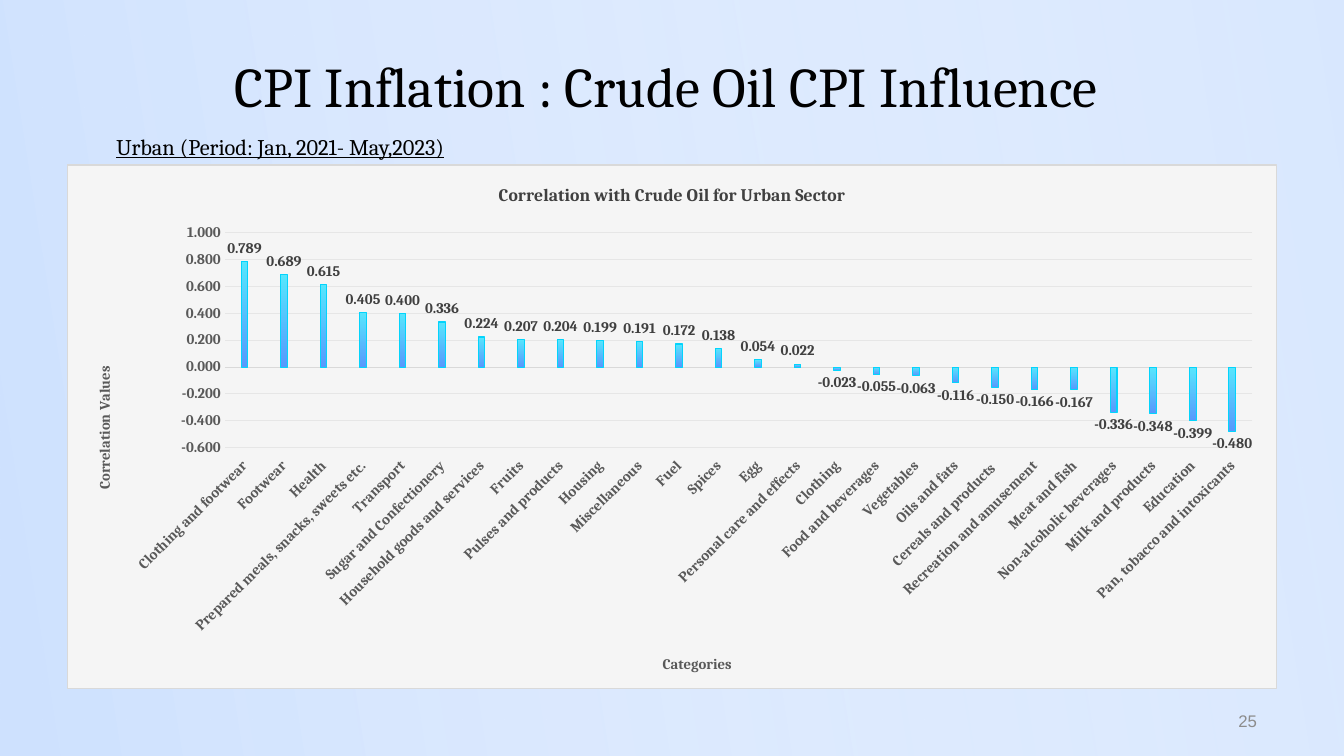
from lxml import etree
from pptx import Presentation
from pptx.chart.data import CategoryChartData
from pptx.dml.color import RGBColor
from pptx.enum.chart import XL_CHART_TYPE, XL_LABEL_POSITION, XL_TICK_LABEL_POSITION, XL_TICK_MARK
from pptx.enum.shapes import MSO_SHAPE
from pptx.enum.text import MSO_ANCHOR, PP_ALIGN
from pptx.oxml import parse_xml
from pptx.oxml.ns import qn
from pptx.util import Pt

COLUMNS = XL_CHART_TYPE.COLUMN_CLUSTERED
OUTSIDE_END = XL_LABEL_POSITION.OUTSIDE_END
LOW = XL_TICK_LABEL_POSITION.LOW
NO_TICK = XL_TICK_MARK.NONE
RECTANGLE = MSO_SHAPE.RECTANGLE
BOTTOM, MIDDLE = MSO_ANCHOR.BOTTOM, MSO_ANCHOR.MIDDLE
LEFT, CENTER, RIGHT = PP_ALIGN.LEFT, PP_ALIGN.CENTER, PP_ALIGN.RIGHT

WIDTH, HEIGHT = 960, 540
SERIF = "Cambria"
VALUE_FORMAT = "0.000"

CORRELATIONS = [
    ("Clothing and footwear", 0.789),
    ("Footwear", 0.689),
    ("Health", 0.615),
    ("Prepared meals, snacks, sweets etc.", 0.405),
    (" Transport", 0.4),
    ("Sugar and Confectionery", 0.336),
    ("Household goods and services", 0.224),
    ("Fruits", 0.207),
    ("Pulses and products", 0.204),
    ("Housing", 0.199),
    ("Miscellaneous", 0.191),
    ("Fuel", 0.172),
    ("Spices", 0.138),
    ("Egg", 0.054),
    ("Personal care and effects", 0.022),
    ("Clothing", -0.023),
    ("Food and beverages", -0.055),
    ("Vegetables", -0.063),
    ("Oils and fats", -0.116),
    (" Cereals and products ", -0.15),
    ("Recreation and amusement", -0.166),
    ("Meat and fish", -0.167),
    ("Non-alcoholic beverages", -0.336),
    ("Milk and products", -0.348),
    ("Education", -0.399),
    ("Pan, tobacco and intoxicants", -0.48),
]


def color(code):
    return RGBColor.from_string(code)


def set_font(font, size, code, name=SERIF, bold=False):
    font.size, font.name, font.bold = Pt(size), name, bold
    font.color.rgb = color(code)


def set_line(line, code):
    line.color.rgb = color(code)
    line.width = Pt(0.75)


def set_gradient(fill, start, end, angle):
    """Fill with two colours; the angle runs counter-clockwise."""
    fill.gradient()
    fill.gradient_angle = angle
    for stop, code in zip(fill.gradient_stops, (start, end)):
        stop.color.rgb = color(code)


def add_backdrop(page):
    page.background.fill.solid()
    page.background.fill.fore_color.rgb = color("CFE2FF")
    sheet = page.shapes.add_shape(RECTANGLE, 0, 0, Pt(WIDTH), Pt(HEIGHT))
    sheet.shadow.inherit = False
    sheet.line.fill.background()
    set_gradient(sheet.fill, "CFE2FF", "FFFFFF", 9)
    end_color = list(sheet._element.spPr.iter(qn("a:srgbClr")))[-1]
    etree.SubElement(end_color, qn("a:alpha"), val="20000")


def add_title(page, box, text):
    title = page.shapes.title
    title.left, title.top, title.width, title.height = map(Pt, box)
    frame = title.text_frame
    frame.margin_left = frame.margin_right = frame.margin_top = frame.margin_bottom = 0
    frame.vertical_anchor = BOTTOM
    para = frame.paragraphs[0]
    para.text, para.alignment = text, CENTER
    set_font(para.font, 40, "000000")


def add_label(page, box, text, size, code, name=SERIF, align=LEFT):
    frame = page.shapes.add_textbox(*map(Pt, box)).text_frame
    frame.word_wrap = True
    frame.vertical_anchor = MIDDLE
    para = frame.paragraphs[0]
    para.text, para.alignment = text, align
    set_font(para.font, size, code, name)
    return para


def set_layout(parent, **fractions):
    """Place a chart part by fractions of the chart's size."""
    layout = parent.find(qn("c:layout"))
    if layout is None:
        layout = etree.Element(qn("c:layout"))
        parent.insert(0, layout)
    manual = etree.SubElement(layout, qn("c:manualLayout"))
    if "w" in fractions:
        etree.SubElement(manual, qn("c:layoutTarget"), val="inner")
    for side in ("x", "y"):
        etree.SubElement(manual, qn(f"c:{side}Mode"), val="edge")
    for side, share in fractions.items():
        etree.SubElement(manual, qn(f"c:{side}"), val=str(share))


def set_chart_title(owner, text, size, code):
    """Title a chart or an axis and return the title."""
    title = owner.chart_title if hasattr(owner, "chart_title") else owner.axis_title
    para = title.text_frame.paragraphs[0]
    para.text = text
    set_font(para.font, size, code, bold=True)
    return title


def style_axis(axis, title_text, x, y):
    axis.major_tick_mark = axis.minor_tick_mark = NO_TICK
    set_font(axis.tick_labels.font, 10.5, "595959", bold=True)
    title = set_chart_title(axis, title_text, 10.5, "595959")
    set_layout(title._element, x=x, y=y)
    return title


def style_axes(chart):
    categories, values = chart.category_axis, chart.value_axis
    style_axis(categories, "Categories", 0.49, 0.93)
    categories.tick_label_position = LOW
    categories.has_major_gridlines = False
    set_line(categories.format.line, "D9D9D9")
    categories._element.find(qn("c:txPr")).find(qn("a:bodyPr")).set("rot", "-2700000")

    title = style_axis(values, "Correlation Values", 0.02, 0.38)
    body = title.text_frame._txBody.find(qn("a:bodyPr"))
    body.set("rot", "-5400000")
    body.set("vert", "horz")
    values.minimum_scale, values.maximum_scale, values.major_unit = -0.6, 1, 0.2
    values.tick_labels.number_format = VALUE_FORMAT
    values.tick_labels.number_format_is_linked = False
    values.format.line.fill.background()
    set_line(values.major_gridlines.format.line, "E6E6E6")


def style_columns(plot):
    plot.gap_width, plot.overlap = 500, -50
    plot.vary_by_categories = False
    series = plot.series[0]
    series.invert_if_negative = False
    set_gradient(series.format.fill, "57E6FD", "5799FD", 270)
    set_line(series.format.line, "03D4FC")
    labels = series.data_labels
    labels.show_value = True
    labels.position = OUTSIDE_END
    labels.number_format, labels.number_format_is_linked = VALUE_FORMAT, False
    set_font(labels.font, 10.5, "404040", bold=True)


def add_correlation_chart(page, box):
    names, values = zip(*CORRELATIONS)
    data = CategoryChartData(number_format=VALUE_FORMAT)
    data.categories = names
    data.add_series("Series 1", values)
    chart = page.shapes.add_chart(COLUMNS, *map(Pt, box), data).chart
    set_font(chart.font, 10.5, "000000", bold=True)
    chart.has_legend = False
    set_chart_title(chart, "Correlation with Crude Oil for Urban Sector", 12.6, "404040")
    style_axes(chart)
    style_columns(chart.plots[0])

    space = chart._chartSpace
    set_layout(space.chart.plotArea, x=0.13, y=0.13, w=0.85, h=0.41)
    space.chart.addnext(parse_xml(
        '<c:spPr xmlns:c="http://schemas.openxmlformats.org/drawingml/2006/chart"'
        ' xmlns:a="http://schemas.openxmlformats.org/drawingml/2006/main">'
        '<a:solidFill><a:srgbClr val="F5F5F5"/></a:solidFill>'
        '<a:ln w="9525"><a:solidFill><a:srgbClr val="D9D9D9"/></a:solidFill></a:ln>'
        '</c:spPr>'))


def build_chart_page(deck):
    page = deck.slides.add_slide(deck.slide_layouts[5])
    add_backdrop(page)
    # The backdrop belongs behind the title placeholder.
    page.shapes._spTree.append(page.shapes.title._element)
    add_title(page, (55, 28, 850, 57), "CPI Inflation : Crude Oil CPI Influence ")
    period = add_label(page, (76, 91, 320, 27), "Urban (Period: Jan, 2021- May,2023)", 16, "000000")
    period.font.underline = True
    add_label(page, (689, 500.5, 216, 29), "25", 12, "8C8C8C", "Arial", RIGHT)
    add_correlation_chart(page, (48, 117.5, 864, 374.5))


if __name__ == "__main__":
    deck = Presentation()
    deck.slide_width, deck.slide_height = Pt(WIDTH), Pt(HEIGHT)
    build_chart_page(deck)
    deck.save("out.pptx")
